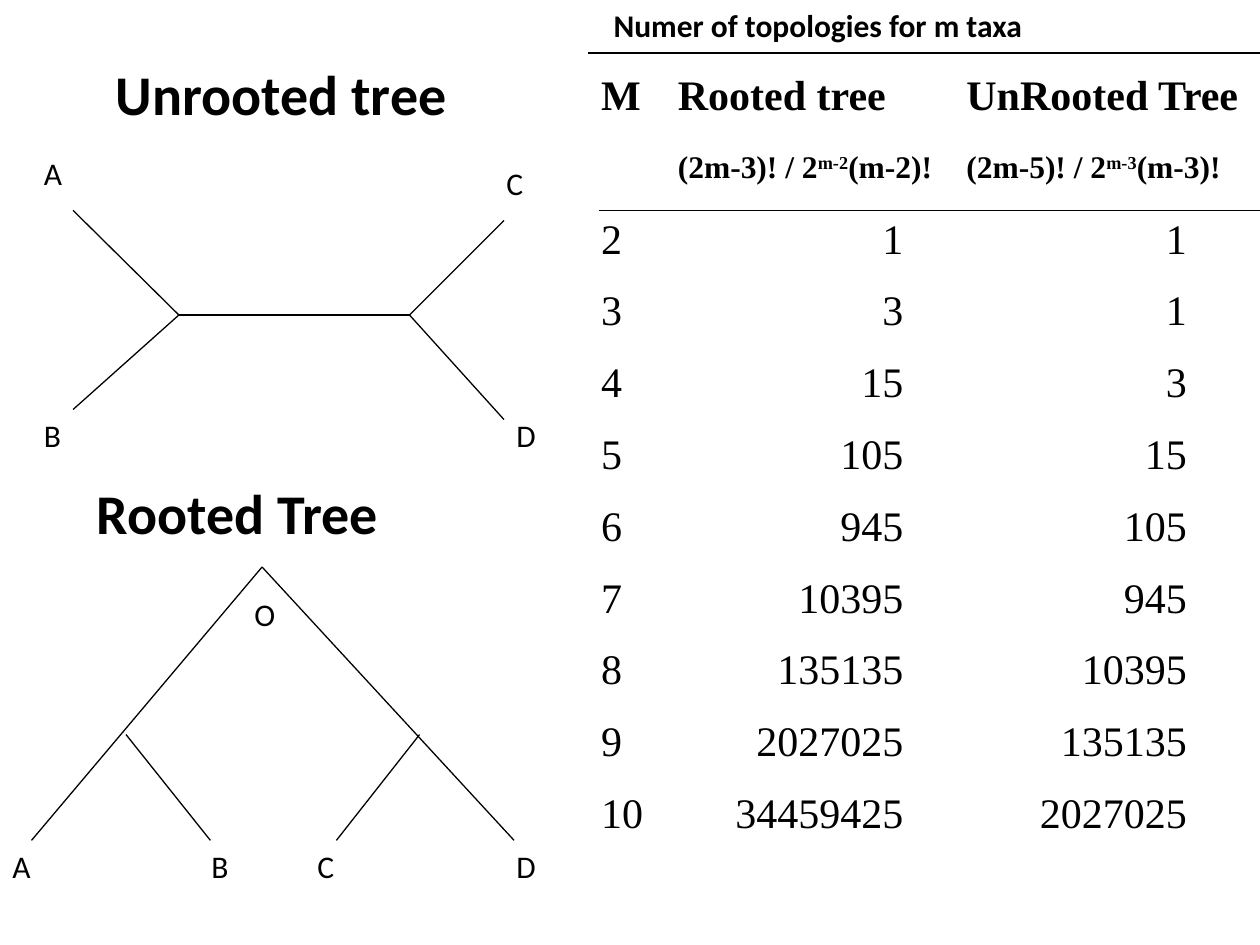
from dataclasses import dataclass

from lxml.etree import SubElement
from pptx import Presentation
from pptx.dml.color import RGBColor as RGB
from pptx.enum.shapes import MSO_CONNECTOR as Link
from pptx.enum.text import MSO_ANCHOR as Anchor, PP_ALIGN as Align
from pptx.oxml.ns import qn
from pptx.util import Inches, Pt

COLS, ROWS = 120, 90


@dataclass(frozen=True)
class Theme:
    """Hold the colours, fonts and type sizes."""
    ink: RGB = RGB(0, 0, 0)
    sans: str = "Calibri"
    serif: str = "Times New Roman"
    head: int = 32
    body: int = 24
    small: int = 18
    line: float = 0.75


THEME = Theme()

UNROOTED = [
    ((17, 30), (39, 30)), ((17, 30), (7, 20)), ((17, 30), (7, 39)),
    ((39, 30), (48, 21)), ((39, 30), (48, 40)),
]
ROOTED = [
    ((25, 54), (3, 80)), ((25, 54), (49, 80)),
    ((12, 70), (20, 80)), ((40, 70), (32, 80)),
]
RULES = [((57, 20), (120, 20)), ((56, 5), (120, 5))]
LABELS = [
    ("A", 3, 14), ("B", 3, 39), ("C", 47, 15), ("D", 48, 39),
    ("O", 23, 56), ("A", 0, 80), ("B", 19, 80), ("C", 29, 80), ("D", 48, 80),
]
HEADS = ["M", "Rooted tree", "UnRooted Tree"]
FORMS = [
    [],
    ["(2m-3)! / 2", "m-2", "(m-2)!"],
    ["(2m-5)! / 2", "m-3", "(m-3)!"],
]
COUNTS = [1, 3, 15, 105, 945, 10395, 135135, 2027025, 34459425]
WIDTHS = [7.3, 27.5, 29.2]
PADS = [0, 4.8, 7]


def unit(num):
    """Turn grid steps into a length."""
    return Inches(round(num / 12, 2))


def style(font, size, face=THEME.sans, bold=False):
    """Format a font from the theme."""
    font.name, font.size, font.bold = face, Pt(size), bold
    font.color.rgb = THEME.ink


def line(slide, start, end):
    """Draw a thin straight line between two grid points."""
    ends = [unit(num) for num in (*start, *end)]
    link = slide.shapes.add_connector(Link.STRAIGHT, *ends)
    link.line.color.rgb = THEME.ink
    link.line.width = Pt(THEME.line)
    SubElement(link._element.spPr, qn("a:effectLst"))


def write(shape, text, size, bold=False):
    """Put one line of left-aligned text in a shape."""
    frame = shape.text_frame
    frame.text = text
    frame.word_wrap = True
    frame.vertical_anchor = Anchor.TOP
    para = frame.paragraphs[0]
    para.alignment = Align.LEFT
    style(para.runs[0].font, size, bold=bold)


def label(slide, text, left, top, width=6, size=THEME.small, bold=False):
    """Add a text box at a grid point."""
    high = 7.5 if size == THEME.head else 6
    box = slide.shapes.add_textbox(*map(unit, (left, top, width, high)))
    write(box, text, size, bold)


def title(slide, text):
    """Move the title above the table and fill it."""
    shape = slide.shapes.title
    shape.left, shape.top, shape.width, shape.height = map(
        unit, (57.3, 0, 60, 6))
    write(shape, text, THEME.small, True)


def fill(cell, parts, size, bold=False, right=0):
    """Fill a cell with runs, raising every second one."""
    cell.fill.background()
    cell.vertical_anchor = Anchor.MIDDLE
    cell.margin_top = cell.margin_bottom = 0
    para = cell.text_frame.paragraphs[0]
    if right:
        para.alignment = Align.RIGHT
        cell.margin_right = unit(right)
    style(para.font, size, THEME.serif, bold)
    for index, part in enumerate(parts):
        run = para.add_run()
        run.text = part
        style(run.font, size, THEME.serif, bold)
        if index % 2:
            run._r.get_or_add_rPr().set("baseline", "30000")


def table(slide):
    """Build the table of topology counts."""
    rows = list(zip(range(2, 11), COUNTS, [1] + COUNTS[:-1]))
    step = 6.8
    high = step * (len(rows) + 2)
    area = map(unit, (56, 5.8, sum(WIDTHS), high))
    grid = slide.shapes.add_table(len(rows) + 2, len(HEADS), *area).table
    grid.first_row = grid.horz_banding = False
    for col, width in zip(grid.columns, WIDTHS):
        col.width = unit(width)
    for row in grid.rows:
        row.height = unit(step)
    for col, (head, form) in enumerate(zip(HEADS, FORMS)):
        fill(grid.cell(0, col), [head], THEME.body, True)
        fill(grid.cell(1, col), form, THEME.small, True)
    for index, row in enumerate(rows, 2):
        for col, num in enumerate(row):
            fill(grid.cell(index, col), [str(num)], THEME.body,
                 right=PADS[col])


def main():
    """Build and save the slide."""
    deck = Presentation()
    deck.slide_width, deck.slide_height = unit(COLS), unit(ROWS)
    slide = deck.slides.add_slide(deck.slide_layouts[5])
    title(slide, "Numer of topologies for m taxa")
    table(slide)
    for start, end in UNROOTED + ROOTED + RULES:
        line(slide, start, end)
    for text, left, top in LABELS:
        label(slide, text, left, top)
    label(slide, "Unrooted tree", 9.8, 5, 39, THEME.head, True)
    label(slide, "Rooted Tree", 8, 45, 39, THEME.head, True)
    deck.save("out.pptx")


if __name__ == "__main__":
    main()
